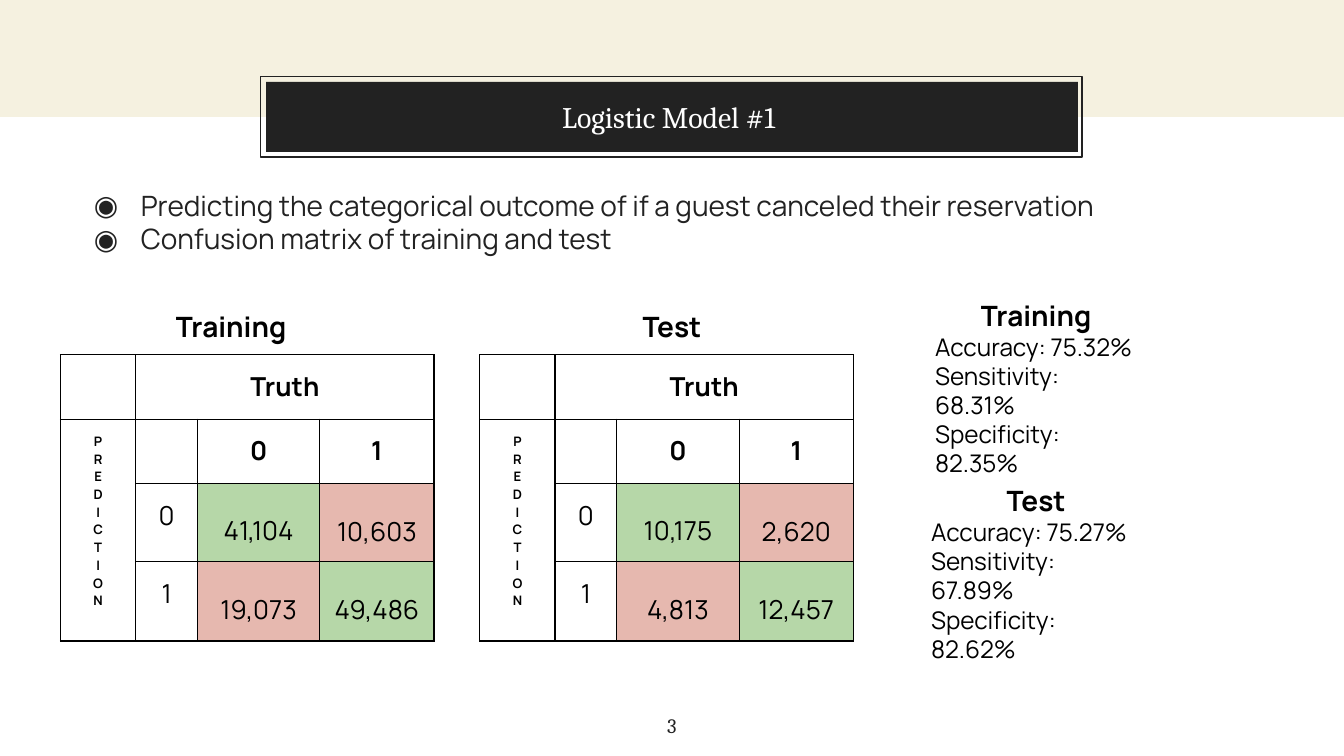
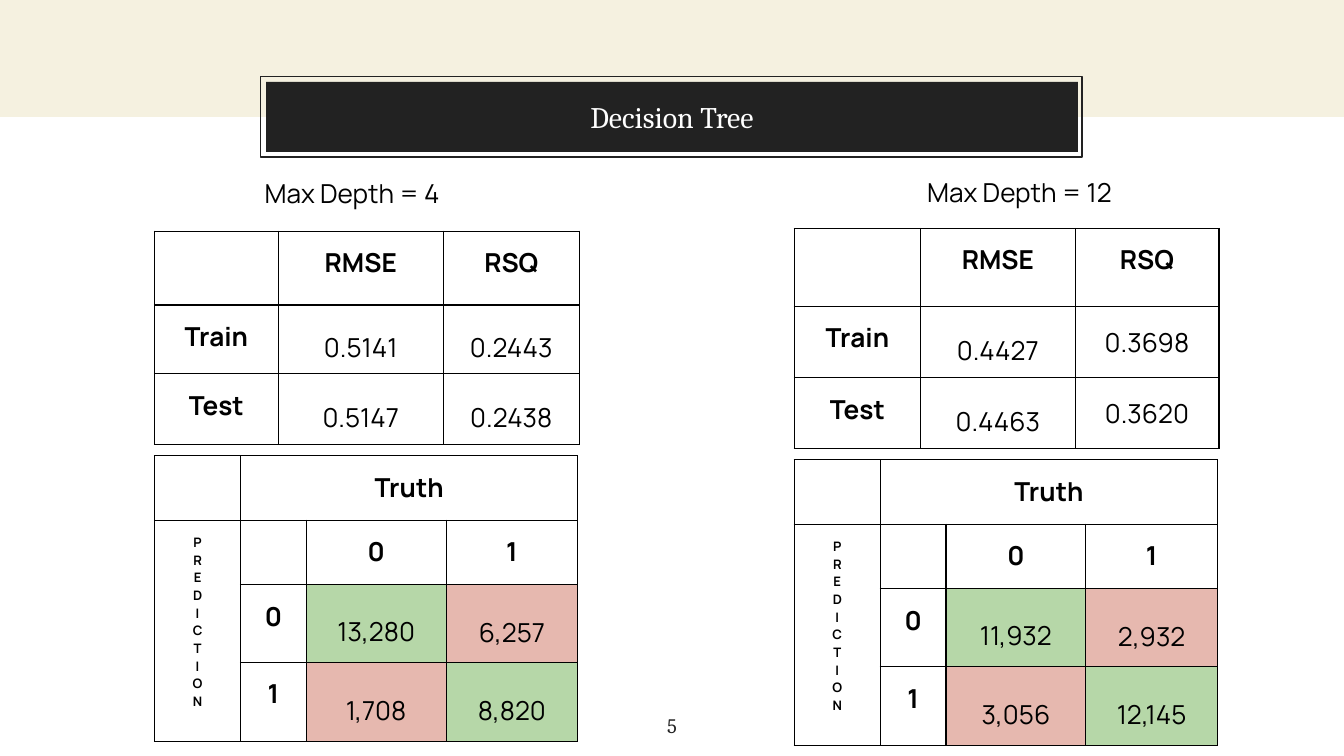
from dataclasses import dataclass

from lxml.etree import SubElement
from pptx import Presentation
from pptx.dml.color import RGBColor
from pptx.enum.shapes import MSO_SHAPE
from pptx.enum.text import MSO_ANCHOR, MSO_AUTO_SIZE, PP_ALIGN
from pptx.oxml.ns import qn
from pptx.util import Inches, Pt


@dataclass(frozen=True)
class Theme:
    """Colours, fonts and type sizes of the deck."""

    ink: str = "222222"
    black: str = "000000"
    white: str = "FFFFFF"
    cream: str = "F5F1E0"
    correct: str = "B6D7A8"
    wrong: str = "E6B8AF"
    serif: str = "Cambria"
    sans: str = "Manrope"
    title: int = 16
    body: int = 15
    table: int = 14
    metric: int = 13
    number: int = 11
    letter: int = 7
    rule: float = 0.75


@dataclass(frozen=True)
class CellLook:
    """Type and spacing of one kind of table cell."""

    size: int = 14
    bold: bool = False
    side: float = 0.1
    edge: float = 0.1
    spacing: float = 1.0
    anchor: MSO_ANCHOR = MSO_ANCHOR.TOP


THEME = Theme()
HEAD = CellLook(THEME.table, bold=True)
LABEL = CellLook(THEME.table)
LETTERS = CellLook(THEME.letter, bold=True)
CENTRED = CellLook(THEME.table, anchor=MSO_ANCHOR.MIDDLE)
ROOMY = CellLook(THEME.table, spacing=1.45, anchor=MSO_ANCHOR.MIDDLE)
TIGHT = CellLook(THEME.table, side=0.06, edge=0.02, spacing=1.45, anchor=MSO_ANCHOR.MIDDLE)
MATRIX_ROWS = (0.48, 0.48, 0.58, 0.59)


def colour(code):
    """Turn a hex code into a colour."""
    return RGBColor.from_string(code)


def set_font(paragraph, size, code=THEME.black, name=THEME.sans, bold=False):
    """Format the type of a whole paragraph."""
    font = paragraph.font
    font.size, font.name, font.bold = Pt(size), name, bold
    font.color.rgb = colour(code)


def set_margins(item, side=0.1, edge=0.1):
    """Set the inner margins of a text frame or a cell."""
    item.margin_left = item.margin_right = Inches(side)
    item.margin_top = item.margin_bottom = Inches(edge)


def fill_paragraphs(frame, lines):
    """Write one paragraph for each line and return them."""
    frame.text = "\n".join(lines)
    return frame.paragraphs


def add_block(page, shape, place, fill=None, line=None):
    """Add a plain rectangle."""
    block = page.shapes.add_shape(shape, *map(Inches, place))
    block.shadow.inherit = False
    if fill:
        block.fill.solid()
        block.fill.fore_color.rgb = colour(fill)
    else:
        block.fill.background()
    if line:
        block.line.color.rgb = colour(line)
        block.line.width = Pt(THEME.rule)
    else:
        block.line.fill.background()
    return block


def add_text(page, place, lines):
    """Add a wrapping text box and return its paragraphs."""
    frame = page.shapes.add_textbox(*map(Inches, place)).text_frame
    frame.word_wrap = True
    set_margins(frame)
    return fill_paragraphs(frame, lines)


def add_label(page, place, text, size, align=PP_ALIGN.LEFT, **font):
    """Add a single-line label."""
    paragraph = add_text(page, place, [text])[0]
    paragraph.alignment = align
    set_font(paragraph, size, **font)


def add_bullets(page, place, lines):
    """Add a bulleted list."""
    paragraphs = add_text(page, place, lines)
    paragraphs[0].space_before = Pt(6)
    for paragraph in paragraphs:
        properties = paragraph._p.get_or_add_pPr()
        properties.set("marL", str(Inches(0.5)))
        properties.set("indent", str(Inches(-0.35)))
        bullet_colour = SubElement(properties, qn("a:buClr"))
        SubElement(bullet_colour, qn("a:srgbClr"), val=THEME.ink)
        SubElement(properties, qn("a:buFont"), typeface=THEME.sans)
        SubElement(properties, qn("a:buChar"), char="◉")
        set_font(paragraph, THEME.body, THEME.ink)


def add_metrics(page, place, heading, accuracy, sensitivity, specificity):
    """Add a heading with three scores below it."""
    scores = [f"Accuracy: {accuracy}", f"Sensitivity: {sensitivity}", f"Specificity: {specificity}"]
    first, *others = add_text(page, place, [heading, *scores])
    first.alignment = PP_ALIGN.CENTER
    set_font(first, THEME.body, bold=True)
    for paragraph in others:
        set_font(paragraph, THEME.metric)


def draw_borders(cell):
    """Draw a thin line on all sides of a cell."""
    properties = cell._tc.get_or_add_tcPr()
    for side in ("lnL", "lnR", "lnT", "lnB"):
        line = SubElement(properties, qn(f"a:{side}"), w=str(Pt(THEME.rule)))
        fill = SubElement(line, qn("a:solidFill"))
        SubElement(fill, qn("a:srgbClr"), val=THEME.black)


def fill_cell(cell, lines=("",), look=TIGHT, fill=THEME.white):
    """Write and format one table cell."""
    cell.fill.solid()
    cell.fill.fore_color.rgb = colour(fill)
    cell.vertical_anchor = look.anchor
    set_margins(cell, look.side, look.edge)
    for paragraph in fill_paragraphs(cell.text_frame, lines):
        paragraph.alignment = PP_ALIGN.CENTER
        paragraph.line_spacing = look.spacing
        set_font(paragraph, look.size, bold=look.bold)


def add_grid(page, left, top, widths, heights):
    """Add a table of blank bordered cells."""
    place = map(Inches, (left, top, sum(widths), sum(heights)))
    table = page.shapes.add_table(len(heights), len(widths), *place).table
    table.first_row = table.horz_banding = False
    for column, width in zip(table.columns, widths):
        column.width = Inches(width)
    for row, height in zip(table.rows, heights):
        row.height = Inches(height)
    for cell in table.iter_cells():
        draw_borders(cell)
        fill_cell(cell)
    return table


def add_confusion_matrix(page, left, top, widths, counts, label_look):
    """Add a confusion matrix of predictions against the truth."""
    table = add_grid(page, left, top, widths, MATRIX_ROWS)
    table.cell(0, 1).merge(table.cell(0, 3))
    table.cell(1, 0).merge(table.cell(3, 0))
    fill_cell(table.cell(0, 1), ["Truth"], HEAD)
    fill_cell(table.cell(1, 0), "PREDICTION", LETTERS)
    for predicted, row in enumerate(counts):
        fill_cell(table.cell(1, predicted + 2), [str(predicted)], HEAD)
        fill_cell(table.cell(predicted + 2, 1), [str(predicted)], label_look)
        for truth, count in enumerate(row):
            fill = THEME.correct if truth == predicted else THEME.wrong
            look = ROOMY if truth else TIGHT
            fill_cell(table.cell(predicted + 2, truth + 2), [count], look, fill)


def add_error_table(page, left, top, widths, heights, scores, last_look):
    """Add a table of RMSE and RSQ for the train and test sets."""
    table = add_grid(page, left, top, widths, heights)
    for column, name in enumerate(("RMSE", "RSQ"), 1):
        fill_cell(table.cell(0, column), [name], HEAD)
    for row, (name, values) in enumerate(zip(("Train", "Test"), scores), 1):
        fill_cell(table.cell(row, 0), [name], HEAD)
        for column, (value, look) in enumerate(zip(values, (TIGHT, last_look)), 1):
            fill_cell(table.cell(row, column), [value], look)


def dress_layout(layout, page):
    """Move the cream band and the title frame into the layout."""
    title, *others = layout.placeholders
    for placeholder in others:
        layout.shapes.element.remove(placeholder.element)
    band = add_block(page, MSO_SHAPE.RECTANGLE, (0, 0, 10, 0.87), fill=THEME.cream)
    frame = add_block(page, MSO_SHAPE.RECTANGLE, (1.94, 0.57, 6.11, 0.6), line=THEME.ink)
    for block in (band, frame):
        title.element.addprevious(block.element)


def add_page(deck, title_text, number):
    """Add a slide with its title bar and page number."""
    layout = deck.slide_layouts[5]
    page = deck.slides.add_slide(layout)
    if len(deck.slides) == 1:
        dress_layout(layout, page)
    title = page.shapes.title
    title.left, title.top, title.width, title.height = map(Inches, (1.98, 0.61, 6.04, 0.52))
    title.fill.solid()
    title.fill.fore_color.rgb = colour(THEME.ink)
    frame = title.text_frame
    frame.word_wrap = True
    frame.auto_size = MSO_AUTO_SIZE.NONE
    frame.vertical_anchor = MSO_ANCHOR.MIDDLE
    set_margins(frame)
    paragraph = fill_paragraphs(frame, [title_text])[0]
    paragraph.alignment = PP_ALIGN.CENTER
    set_font(paragraph, THEME.title, THEME.white, THEME.serif)
    add_label(page, (4.7, 5.21, 0.6, 0.33), number, THEME.number, PP_ALIGN.CENTER,
              code=THEME.ink, name=THEME.serif)
    return page


def add_logistic_page(deck):
    """Build the slide on the logistic model."""
    page = add_page(deck, "Logistic Model #1 ", "3")
    add_bullets(page, (0.45, 1.3, 9, 3.85), [
        "Predicting the categorical outcome of if a guest canceled their reservation",
        "Confusion matrix of training and test",
    ])
    add_metrics(page, (6.86, 2.12, 1.7, 1), "Training", "75.32%", "68.31%", "82.35%")
    add_metrics(page, (6.83, 3.5, 1.76, 1), "Test", "75.27%", "67.89%", "82.62%")
    matrices = (
        ("Training", 0.9, 0.45, (("41,104", "10,603"), ("19,073", "49,486"))),
        ("Test", 4.18, 3.57, (("10,175", "2,620"), ("4,813", "12,457"))),
    )
    for name, label_left, left, counts in matrices:
        add_label(page, (label_left, 2.2, 1.64, 0.26), name, THEME.body, PP_ALIGN.CENTER, bold=True)
        add_confusion_matrix(page, left, 2.64, (0.56, 0.46, 0.91, 0.85), counts, LABEL)


def add_tree_page(deck):
    """Build the slide on the decision tree."""
    page = add_page(deck, "Decision Tree", "5")
    add_label(page, (1.87, 1.22, 1.88, 0.33), "Max Depth = 4", THEME.table)
    add_label(page, (6.8, 1.21, 1.88, 0.33), "Max Depth = 12", THEME.table)
    add_error_table(page, 1.15, 1.72, (0.92, 1.23, 1.01), (0.55, 0.51, 0.53),
                    (("0.5141", "0.2443"), ("0.5147", "0.2438")), TIGHT)
    add_error_table(page, 5.91, 1.7, (0.94, 1.15, 1.07), (0.58, 0.53, 0.53),
                    (("0.4427", "0.3698"), ("0.4463", "0.3620")), CENTRED)
    matrices = (
        (1.15, 3.39, (("13,280", "6,257"), ("1,708", "8,820"))),
        (5.91, 3.42, (("11,932", "2,932"), ("3,056", "12,145"))),
    )
    for left, top, counts in matrices:
        add_confusion_matrix(page, left, top, (0.64, 0.49, 1.04, 0.98), counts, HEAD)


def main():
    """Build and save the deck."""
    deck = Presentation()
    deck.slide_width = Inches(10)
    deck.slide_height = Inches(10) * 9 // 16
    add_logistic_page(deck)
    add_tree_page(deck)
    deck.save("out.pptx")


if __name__ == "__main__":
    main()
